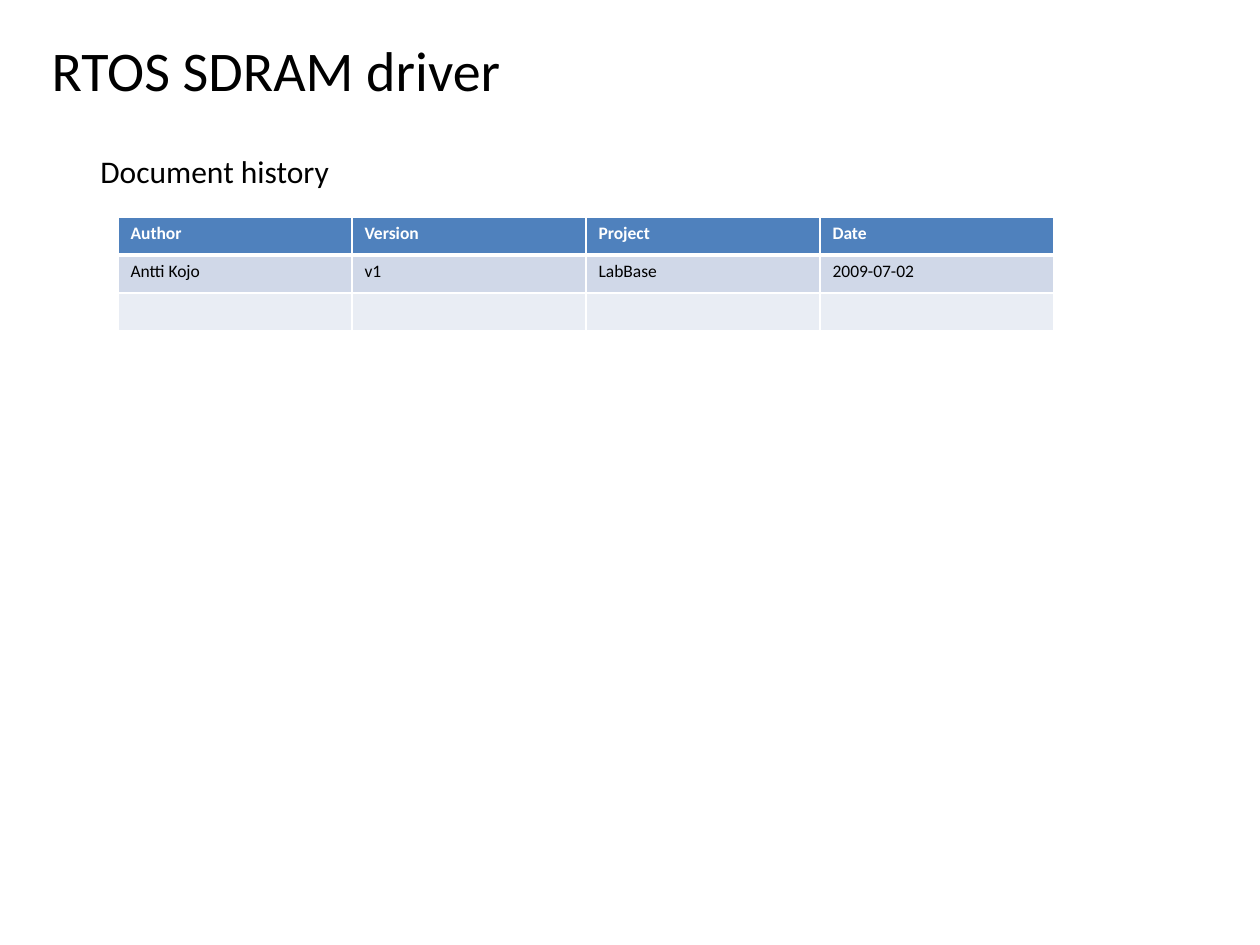
from dataclasses import dataclass

from lxml import etree
from pptx import Presentation
from pptx.dml.color import RGBColor
from pptx.enum.text import MSO_ANCHOR, MSO_AUTO_SIZE, PP_ALIGN
from pptx.oxml.ns import qn
from pptx.util import Emu, Pt

LEFT = PP_ALIGN.LEFT
TOP = MSO_ANCHOR.TOP
FIT_SHAPE = MSO_AUTO_SIZE.SHAPE_TO_FIT_TEXT
PIXELS_PER_INCH = 126
TITLE_ONLY = 5


@dataclass(frozen=True)
class Theme:
    font: str = "Calibri"
    text: str = "000000"
    light: str = "FFFFFF"
    header: str = "4F81BD"
    bands: tuple[str, str] = ("D0D8E8", "E9EDF4")
    title_size: int = 32
    heading_size: int = 18
    table_size: int = 10
    thin: int = 1
    thick: int = 3


@dataclass(frozen=True)
class Box:
    left: int
    top: int
    width: int
    height: int

    def lengths(self) -> tuple[Emu, Emu, Emu, Emu]:
        return px(self.left), px(self.top), px(self.width), px(self.height)


@dataclass(frozen=True)
class CellStyle:
    fill: str
    color: str
    bold: bool
    top: int
    bottom: int


THEME = Theme()
TITLE_BOX = Box(39, 29, 867, 81)
HEADING_BOX = Box(88, 146, 257, 50)
TABLE_BOX = Box(118, 217, 936, 114)
HISTORY = (
    ("Author", "Version", "Project", "Date"),
    ("Antti Kojo", "v1", "LabBase", "2009-07-02"),
    ("", "", "", ""),
)
ROW_STYLES = (
    CellStyle(THEME.header, THEME.light, True, THEME.thin, THEME.thick),
    CellStyle(THEME.bands[0], THEME.text, False, THEME.thick, THEME.thin),
    CellStyle(THEME.bands[1], THEME.text, False, THEME.thin, THEME.thin),
)


def px(pixels: int) -> Emu:
    return Emu(round(pixels * 914400 / PIXELS_PER_INCH))


def format_paragraph(paragraph, size: int, color: str, bold: bool = False) -> None:
    paragraph.alignment = LEFT
    font = paragraph.font
    font.name = THEME.font
    font.size = Pt(size)
    font.bold = bold
    font.color.rgb = RGBColor.from_string(color)


def write_text(shape, text: str, size: int, wrap: bool) -> None:
    frame = shape.text_frame
    frame.text = text
    frame.word_wrap = wrap
    frame.auto_size = FIT_SHAPE
    frame.vertical_anchor = TOP
    format_paragraph(frame.paragraphs[0], size, THEME.text)


def add_border(cell, side: str, width: int) -> None:
    properties = cell._tc.get_or_add_tcPr()
    line = etree.SubElement(properties, qn(f"a:ln{side}"), w=str(Pt(width)))
    fill = etree.SubElement(line, qn("a:solidFill"))
    etree.SubElement(fill, qn("a:srgbClr"), val=THEME.light)


def draw_cell(cell, text: str, style: CellStyle) -> None:
    cell.text = text
    paragraph = cell.text_frame.paragraphs[0]
    format_paragraph(paragraph, THEME.table_size, style.color, style.bold)
    if not text:
        size = str(THEME.table_size * 100)
        etree.SubElement(paragraph._p, qn("a:endParaRPr"), sz=size)
    borders = (("L", THEME.thin), ("R", THEME.thin), ("T", style.top), ("B", style.bottom))
    for side, width in borders:
        add_border(cell, side, width)
    cell.fill.solid()
    cell.fill.fore_color.rgb = RGBColor.from_string(style.fill)


def draw_table(slide, box: Box) -> None:
    table = slide.shapes.add_table(len(HISTORY), len(HISTORY[0]), *box.lengths()).table
    for row, texts, style in zip(table.rows, HISTORY, ROW_STYLES):
        for cell, text in zip(row.cells, texts):
            draw_cell(cell, text, style)


def main() -> None:
    presentation = Presentation()
    presentation.slide_width = px(1260)
    presentation.slide_height = px(945)
    slide = presentation.slides.add_slide(presentation.slide_layouts[TITLE_ONLY])

    title = slide.shapes.title
    title.left, title.top, title.width, title.height = TITLE_BOX.lengths()
    write_text(title, "RTOS SDRAM driver", THEME.title_size, True)

    draw_table(slide, TABLE_BOX)
    heading = slide.shapes.add_textbox(*HEADING_BOX.lengths())
    write_text(heading, "Document history", THEME.heading_size, False)

    presentation.save("out.pptx")


if __name__ == "__main__":
    main()
